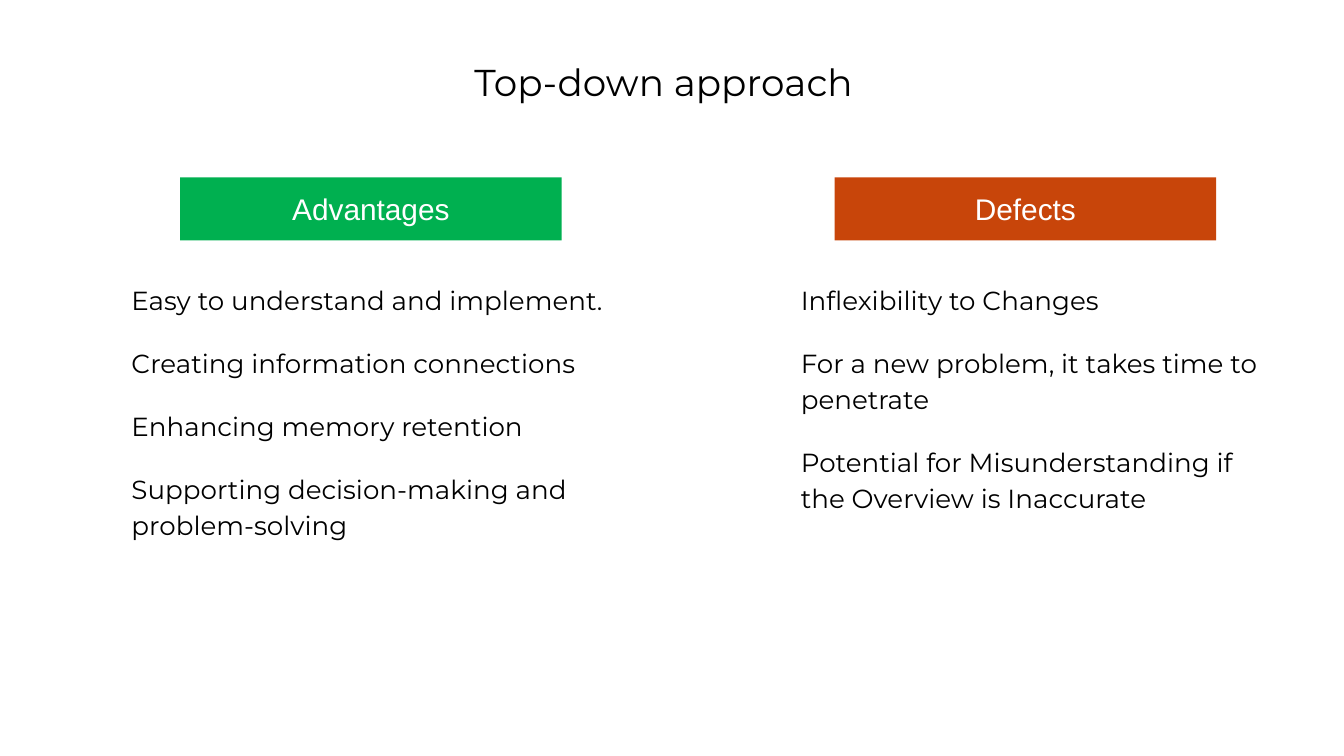
import pptx
import pptx.util
from pptx.dml.color import RGBColor
from pptx.enum.shapes import MSO_SHAPE
from pptx.enum.text import MSO_ANCHOR, MSO_AUTO_SIZE, PP_ALIGN

Inches = pptx.util.Inches

COLORS = {
    "text": "000000",
    "light": "FFFFFF",
    "good": "00B050",
    "bad": "C8450A",
}
HEIGHTS = {1: 0.47, 2: 0.74}  # row height by number of text lines


def color(name):
    return RGBColor.from_string(COLORS[name])


def write(shape, text, size, font="Montserrat", tint="text",
          align=PP_ALIGN.LEFT, anchor=MSO_ANCHOR.TOP, space=1.15):
    frame = shape.text_frame
    frame.text = text
    frame.word_wrap = True
    frame.auto_size = MSO_AUTO_SIZE.NONE
    frame.vertical_anchor = anchor
    frame.margin_left = frame.margin_right = Inches(0.1)
    frame.margin_top = frame.margin_bottom = Inches(0.1)
    para = frame.paragraphs[0]
    para.alignment = align
    para.line_spacing = space
    face = para.runs[0].font
    face.name = font
    face.size = pptx.util.Pt(size)
    face.color.rgb = color(tint)


def add_title(slide, text, left, top, width, height):
    title = slide.shapes.title
    title.left, title.top = Inches(left), Inches(top)
    title.width, title.height = Inches(width), Inches(height)
    write(title, text, 20)


def add_label(slide, text, fill, left, top):
    label = slide.shapes.add_shape(
        MSO_SHAPE.RECTANGLE, Inches(left), Inches(top),
        Inches(2.84), Inches(0.47))
    label.shadow.inherit = False
    label.fill.solid()
    label.fill.fore_color.rgb = color(fill)
    label.line.fill.background()
    write(label, text, 16, "Arial", "light", PP_ALIGN.CENTER,
          MSO_ANCHOR.MIDDLE, 1.0)


def add_column(slide, head, fill, points, left, top, width, shift):
    """Place a label, moved right by shift, above points of (text, lines)."""
    add_label(slide, head, fill, left + shift, top)
    top += 0.66
    for text, lines in points:
        height = HEIGHTS[lines]
        box = slide.shapes.add_textbox(
            Inches(left), Inches(top), Inches(width), Inches(height))
        write(box, text, 14)
        top += height


def main():
    deck = pptx.Presentation()
    deck.slide_width = Inches(10)
    deck.slide_height = deck.slide_width * 9 // 16
    slide = deck.slides.add_slide(deck.slide_layouts.get_by_name("Title Only"))
    add_title(slide, "Top-down approach", 3.43, 0.29, 3.15, 0.59)
    add_column(slide, "Advantages", "good", [
        ("Easy to understand and implement.", 1),
        ("Creating information connections", 1),
        ("Enhancing memory retention", 1),
        ("Supporting decision-making and problem-solving", 2),
    ], left=0.88, top=1.32, width=3.86, shift=0.46)
    add_column(slide, "Defects", "bad", [
        ("Inflexibility to Changes", 1),
        ("For a new problem, it takes time to penetrate", 2),
        ("Potential for Misunderstanding if the Overview is Inaccurate", 2),
    ], left=5.86, top=1.32, width=3.71, shift=0.35)
    deck.save("out.pptx")


if __name__ == "__main__":
    main()
